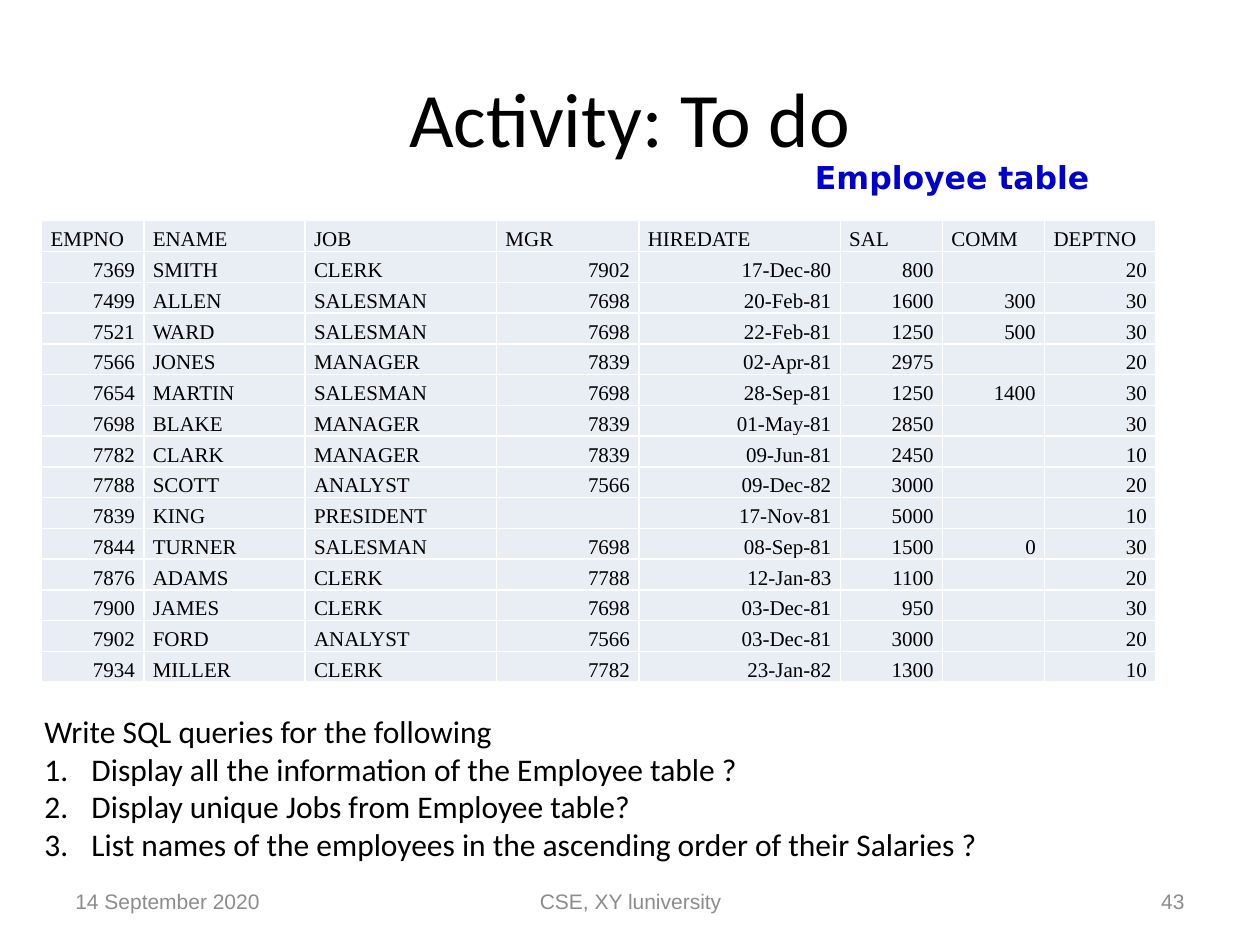
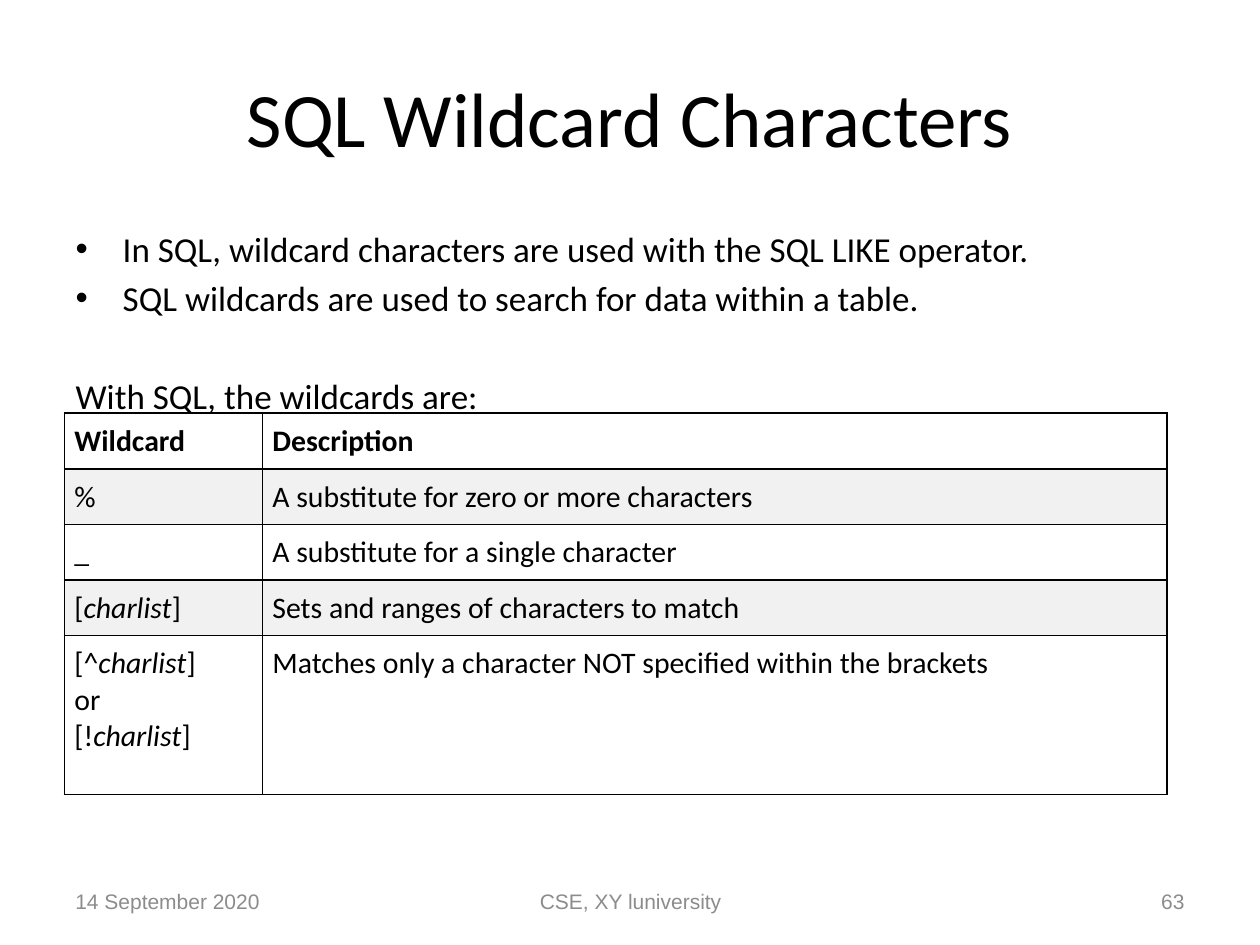
from dataclasses import dataclass
from typing import Any, Optional

from lxml import etree
from pptx import Presentation
from pptx import util as u
from pptx.dml.color import RGBColor
from pptx.enum import text
from pptx.oxml import ns

LEFT, CENTER, RIGHT = text.PP_ALIGN.LEFT, text.PP_ALIGN.CENTER, text.PP_ALIGN.RIGHT
TOP, MIDDLE, BOTTOM = text.MSO_ANCHOR.TOP, text.MSO_ANCHOR.MIDDLE, text.MSO_ANCHOR.BOTTOM


@dataclass(frozen=True)
class Style:
    font: str
    size: float
    color: str = "000000"
    bold: bool = False


@dataclass(frozen=True)
class Theme:
    title: Style = Style("Calibri", 44)
    tasks: Style = Style("Calibri", 18)
    body: Style = Style("Calibri", 20)
    label: Style = Style("DejaVu Sans", 18, "0000CC", True)
    footer: Style = Style("Arial", 12, "8C8C8C")
    record: Style = Style("Times New Roman", 12)
    entry: Style = Style("Calibri", 17)
    heading: Style = Style("Calibri", 17, bold=True)
    white: str = "FFFFFF"
    black: str = "000000"
    pale_blue: str = "E9EDF4"
    pale_grey: str = "F1F1F1"


@dataclass(frozen=True)
class Box:
    """A place on the slide, in centimetres."""
    x: float
    y: float
    w: float
    h: float


@dataclass(frozen=True)
class Para:
    text: str
    bullet: Optional[str] = None  # "number", a bullet character or nothing
    before: float = 0


@dataclass(frozen=True)
class Grid:
    """Look and measures of a table, in centimetres."""
    x: float
    y: float
    cols: list[float]
    rows: list[float]
    border: str
    pad_x: float
    pad_y: float
    anchor: Any


T = Theme()
INDENT = u.Cm(0.95)
TITLE_BOX = Box(1.27, 0.76, 22.86, 3.18)
FOOTER_Y, FOOTER_H = 17.65, 1.02


# Shared helpers
def assign(target: Any, values: dict[str, Any]) -> None:
    for name, value in values.items():
        setattr(target, name, value)


def place(sp: Any, box: Box) -> None:
    assign(sp, {"left": u.Cm(box.x), "top": u.Cm(box.y),
                "width": u.Cm(box.w), "height": u.Cm(box.h)})


def xml(parent: Any, tag: str, **attrs: str) -> Any:
    return etree.SubElement(parent, ns.qn(tag), attrs)


def write(p: Any, words: str, style: Style, align: Any = LEFT) -> None:
    """Write words; *stars* mark italics and a newline breaks the line."""
    p.alignment = align
    for i, part in enumerate(words.split("*")):
        for j, line in enumerate(part.split("\n")):
            if j:
                p.add_line_break()
            if line:
                r = p.add_run()
                r.text = line
                assign(r.font, {"name": style.font, "size": u.Pt(style.size),
                                "bold": style.bold, "italic": i % 2 == 1})
                r.font.color.rgb = RGBColor.from_string(style.color)
    if not words:
        xml(p._p, "a:endParaRPr", sz=str(int(style.size * 100)))


def add_text(s: Any, box: Box, words: str, style: Style, align: Any = LEFT,
             anchor: Any = TOP) -> None:
    sp = s.shapes.add_textbox(*(u.Cm(v) for v in (box.x, box.y, box.w, box.h)))
    tf = sp.text_frame
    assign(tf, {"word_wrap": True, "vertical_anchor": anchor})
    write(tf.paragraphs[0], words, style, align)


def fill_list(sp: Any, box: Box, paras: list[Para], style: Style) -> None:
    place(sp, box)
    tf = sp.text_frame
    tf.auto_size = text.MSO_AUTO_SIZE.NONE
    for i, para in enumerate(paras):
        p = tf.add_paragraph() if i else tf.paragraphs[0]
        p.space_before = u.Pt(para.before)
        write(p, para.text, style)
        pPr = p._p.get_or_add_pPr()
        indent = INDENT if para.bullet else 0
        pPr.set("marL", str(indent))
        pPr.set("indent", str(-indent))
        if para.bullet == "number":
            xml(pPr, "a:buFont", typeface="+mj-lt")
            xml(pPr, "a:buAutoNum", type="arabicPeriod")
        elif para.bullet:
            xml(pPr, "a:buFont", typeface="Arial")
            xml(pPr, "a:buChar", char=para.bullet)
        else:
            xml(pPr, "a:buNone")


def add_grid(s: Any, grid: Grid) -> Any:
    frame = s.shapes.add_table(len(grid.rows), len(grid.cols), u.Cm(grid.x), u.Cm(grid.y),
                               u.Cm(sum(grid.cols)), u.Cm(sum(grid.rows)))
    table = frame.table
    assign(table, {"first_row": False, "horz_banding": False})
    for col, width in zip(table.columns, grid.cols):
        col.width = u.Cm(width)
    for row, height in zip(table.rows, grid.rows):
        row.height = u.Cm(height)
    return table


def fill_cell(cell: Any, grid: Grid, words: str, style: Style, fill: str,
              align: Any = LEFT) -> None:
    pad_x, pad_y = u.Cm(grid.pad_x), u.Cm(grid.pad_y)
    assign(cell, {"margin_left": pad_x, "margin_right": pad_x, "margin_top": pad_y,
                  "margin_bottom": pad_y, "vertical_anchor": grid.anchor})
    tcPr = cell._tc.get_or_add_tcPr()
    for side in ("a:lnL", "a:lnR", "a:lnT", "a:lnB"):
        ln = xml(tcPr, side, w=str(u.Pt(1)))
        xml(xml(ln, "a:solidFill"), "a:srgbClr", val=grid.border)
    cell.fill.solid()
    cell.fill.fore_color.rgb = RGBColor.from_string(fill)
    write(cell.text_frame.paragraphs[0], words, style, align)


def add_slide(prs: Any, title: str, number: int) -> Any:
    """Slide with the shared title and footer line."""
    s = prs.slides.add_slide(prs.slide_layouts[1])
    place(s.shapes.title, TITLE_BOX)
    tf = s.shapes.title.text_frame
    tf.vertical_anchor = MIDDLE
    write(tf.paragraphs[0], title, T.title, CENTER)
    for x, w, words, align in ((1.27, 5.92, "14 September 2020", LEFT),
                               (8.69, 8.05, "CSE, XY luniversity", CENTER),
                               (18.21, 5.92, str(number), RIGHT)):
        add_text(s, Box(x, FOOTER_Y, w, FOOTER_H), words, T.footer, align, MIDDLE)
    return s


# Content
EMPLOYEES = """EMPNO,ENAME,JOB,MGR,HIREDATE,SAL,COMM,DEPTNO
7369,SMITH,CLERK,7902,17-Dec-80,800,,20
7499,ALLEN,SALESMAN,7698,20-Feb-81,1600,300,30
7521,WARD,SALESMAN,7698,22-Feb-81,1250,500,30
7566,JONES,MANAGER,7839,02-Apr-81,2975,,20
7654,MARTIN,SALESMAN,7698,28-Sep-81,1250,1400,30
7698,BLAKE,MANAGER,7839,01-May-81,2850,,30
7782,CLARK,MANAGER,7839,09-Jun-81,2450,,10
7788,SCOTT,ANALYST,7566,09-Dec-82,3000,,20
7839,KING,PRESIDENT,,17-Nov-81,5000,,10
7844,TURNER,SALESMAN,7698,08-Sep-81,1500,0,30
7876,ADAMS,CLERK,7788,12-Jan-83,1100,,20
7900,JAMES,CLERK,7698,03-Dec-81,950,,30
7902,FORD,ANALYST,7566,03-Dec-81,3000,,20
7934,MILLER,CLERK,7782,23-Jan-82,1300,,10"""
TEXT_COLUMNS = (1, 2)  # ENAME and JOB stay left-aligned

TASKS = [
    Para("Write SQL queries for the following"),
    Para("Display all the information of the Employee table ?", "number"),
    Para("Display unique Jobs from Employee table?", "number"),
    Para("List names of the employees in the ascending order of their Salaries ?", "number"),
]

WILDCARD_NOTES = [
    Para("In SQL, wildcard characters are used with the SQL LIKE operator.", "•", 4),
    Para("SQL wildcards are used to search for data within a table.", "•", 4),
    Para("With SQL, the wildcards are:", before=32.4),
]

WILDCARDS = [
    ("Wildcard", "Description"),
    ("%", "A substitute for zero or more characters"),
    ("_", "A substitute for a single character"),
    ("[*charlist*]", "Sets and ranges of characters to match"),
    ("[^*charlist*]\nor\n[!*charlist*]",
     "Matches only a character NOT specified within the brackets"),
]


# Slides
def activity_slide(prs: Any) -> None:
    s = add_slide(prs, "Activity: To do", 43)
    records = [line.split(",") for line in EMPLOYEES.splitlines()]
    grid = Grid(0.84, 4.45, [2.06, 3.25, 3.86, 2.87, 4.06, 2.06, 2.06, 2.24],
                [0.62] * len(records), T.white, 0.18, 0, BOTTOM)
    table = add_grid(s, grid)
    for i, record in enumerate(records):
        for j, value in enumerate(record):
            align = LEFT if i == 0 or j in TEXT_COLUMNS else RIGHT
            fill_cell(table.cell(i, j), grid, value, T.record, T.pale_blue, align)
    fill_list(s.placeholders[1], Box(0.64, 14.22, 24.1, 4.8), TASKS, T.tasks)
    add_text(s, Box(16.18, 3.07, 6.2, 1.02), "Employee table", T.label)


def wildcard_slide(prs: Any) -> None:
    s = add_slide(prs, "SQL Wildcard Characters", 63)
    fill_list(s.placeholders[1], Box(1.27, 4.45, 22.86, 12.57), WILDCARD_NOTES, T.body)
    grid = Grid(1.3, 8.33, [3.99, 18.24], [1.12] * 4 + [3.2], T.black, 0.2, 0.2, TOP)
    table = add_grid(s, grid)
    for i, row in enumerate(WILDCARDS):
        for j, words in enumerate(row):
            fill_cell(table.cell(i, j), grid, words, T.entry if i else T.heading,
                      T.pale_grey if i % 2 else T.white)


prs = Presentation()
assign(prs, {"slide_width": u.Cm(25.4), "slide_height": u.Cm(19.05)})
activity_slide(prs)
wildcard_slide(prs)
prs.save("out.pptx")
